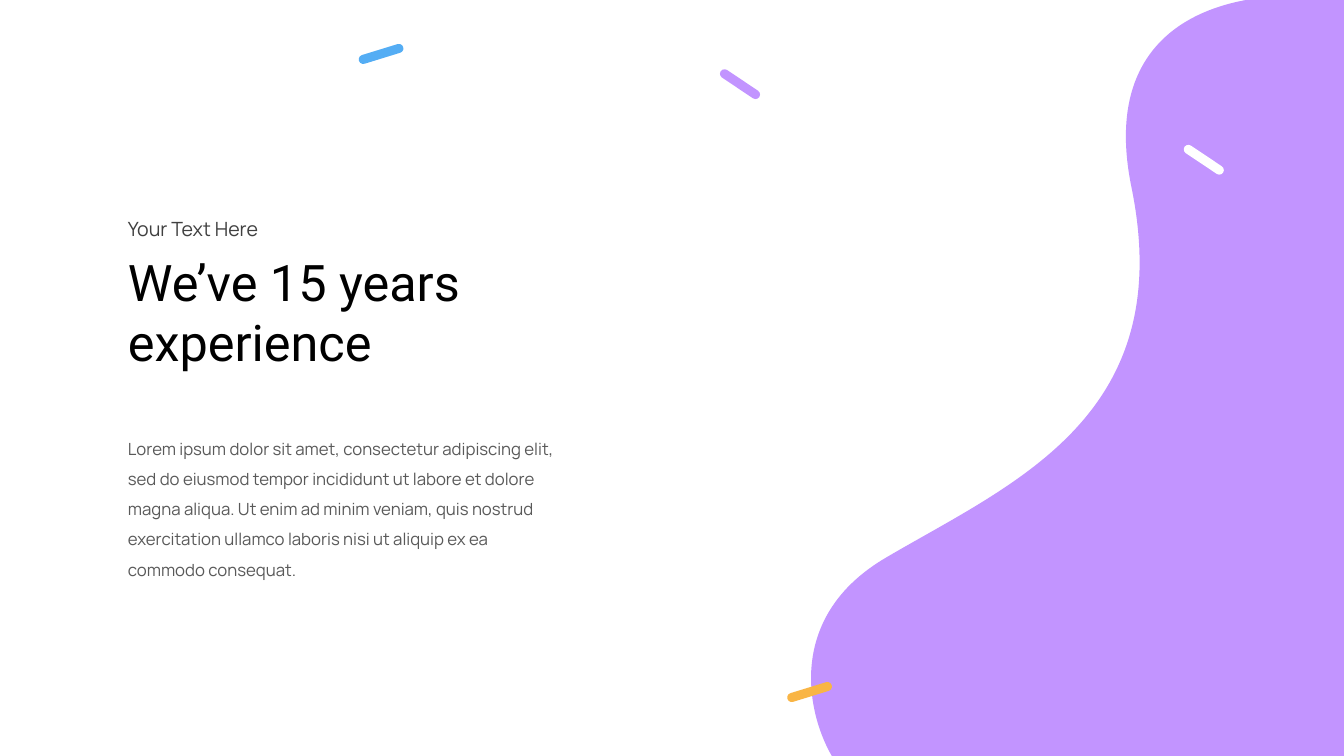
from lxml import etree
from pptx import Presentation
from pptx.dml.color import RGBColor
from pptx.enum.shapes import MSO_SHAPE
from pptx.enum.text import MSO_AUTO_SIZE
from pptx.oxml.ns import qn
from pptx.util import Inches, Pt

PURPLE = "C294FF"


def paint(shape, color):
    shape.shadow.inherit = False
    shape.fill.solid()
    shape.fill.fore_color.rgb = RGBColor.from_string(color)
    shape.line.fill.background()


presentation = Presentation()
presentation.slide_width = Inches(13.33)
presentation.slide_height = Inches(7.5)
slide = presentation.slides.add_slide(presentation.slide_layouts[6])

# Purple wave on the right: frame first, then its curves
left, top, right, bottom = 8.05, -0.04, 13.34, 7.5
builder = slide.shapes.build_freeform(Inches(left), Inches(top), scale=1.0)
builder.add_line_segments(
    [(Inches(x), Inches(y)) for x, y in ((right, top), (right, bottom), (left, bottom))])
wave = builder.convert_to_shape()
paint(wave, PURPLE)
wave.rotation = 180

wave_steps = [
    ("a:moveTo", [(8.79, 5.53)]),
    ("a:cubicBezTo", [(7.78, 6.12), (8.01, 7.09), (8.25, 7.5)]),
    ("a:lnTo", [(13.33, 7.5)]),
    ("a:lnTo", [(13.33, 0)]),
    ("a:cubicBezTo", [(12.48, -0.15), (10.85, 0.02), (11.22, 1.85)]),
    ("a:cubicBezTo", [(11.69, 4.13), (10.05, 4.79), (8.79, 5.53)]),
    ("a:close", []),
]
outline = next(wave.element.iter(qn("a:path")))
for child in list(outline):
    outline.remove(child)
for tag, points in wave_steps:
    step = etree.SubElement(outline, qn(tag))
    for x, y in points:
        # The half turn mirrors both axes
        etree.SubElement(step, qn("a:pt"), x=str(Inches(right - x)), y=str(Inches(bottom - y)))

# Heading, kicker and body text
body = (
    "Lorem ipsum dolor sit amet, consectetur adipiscing elit, sed do eiusmod tempor "
    "incididunt ut labore et dolore magna aliqua. Ut enim ad minim veniam, quis nostrud "
    "exercitation ullamco laboris nisi ut aliquip ex ea commodo consequat.")
text_blocks = [
    (2.44, 4, 1.31, ["We’ve 15 years", "experience"], False, None,
     {"name": "Roboto", "size": Pt(36)}, "000000"),
    (2.1, 1.61, 0.34, ["Your Text Here"], False, None,
     {"name": "Manrope", "size": Pt(14)}, "404040"),
    (4.2, 4.49, 1.59, [body], True, 1.5,
     {"name": "Manrope", "size": Pt(12)}, "595959"),
]
for top, width, height, lines, wrap, spacing, font_format, color in text_blocks:
    box = slide.shapes.add_textbox(Inches(1.17), Inches(top), Inches(width), Inches(height))
    frame = box.text_frame
    frame.word_wrap = wrap
    frame.auto_size = MSO_AUTO_SIZE.SHAPE_TO_FIT_TEXT
    frame.text = "\n".join(lines)
    for paragraph in frame.paragraphs:
        if spacing:
            paragraph.line_spacing = spacing
        font = paragraph.runs[0].font
        for name, value in font_format.items():
            setattr(font, name, value)
        font.color.rgb = RGBColor.from_string(color)

# Confetti dashes
dashes = [
    (7.11, 0.79, 33.8, PURPLE),
    (7.8, 6.82, 342.9, "F9B545"),
    (11.71, 1.54, 33.8, "FFFFFF"),
    (3.55, 0.49, 342.9, "54ADF4"),
]
for left, top, rotation, color in dashes:
    dash = slide.shapes.add_shape(
        MSO_SHAPE.ROUNDED_RECTANGLE, Inches(left), Inches(top), Inches(0.46), Inches(0.09))
    dash.adjustments[0] = 0.5
    dash.rotation = rotation
    paint(dash, color)

presentation.save("out.pptx")
